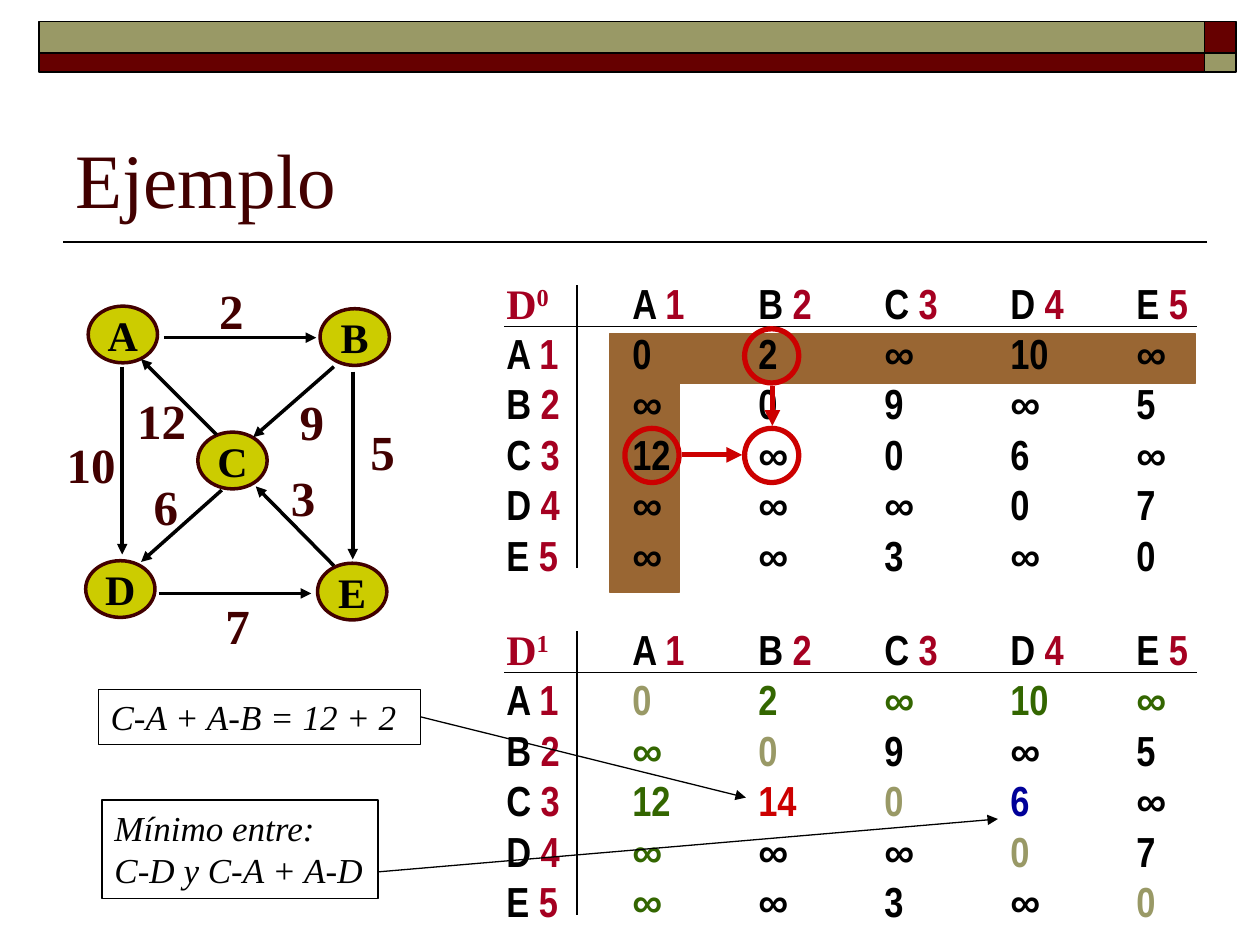
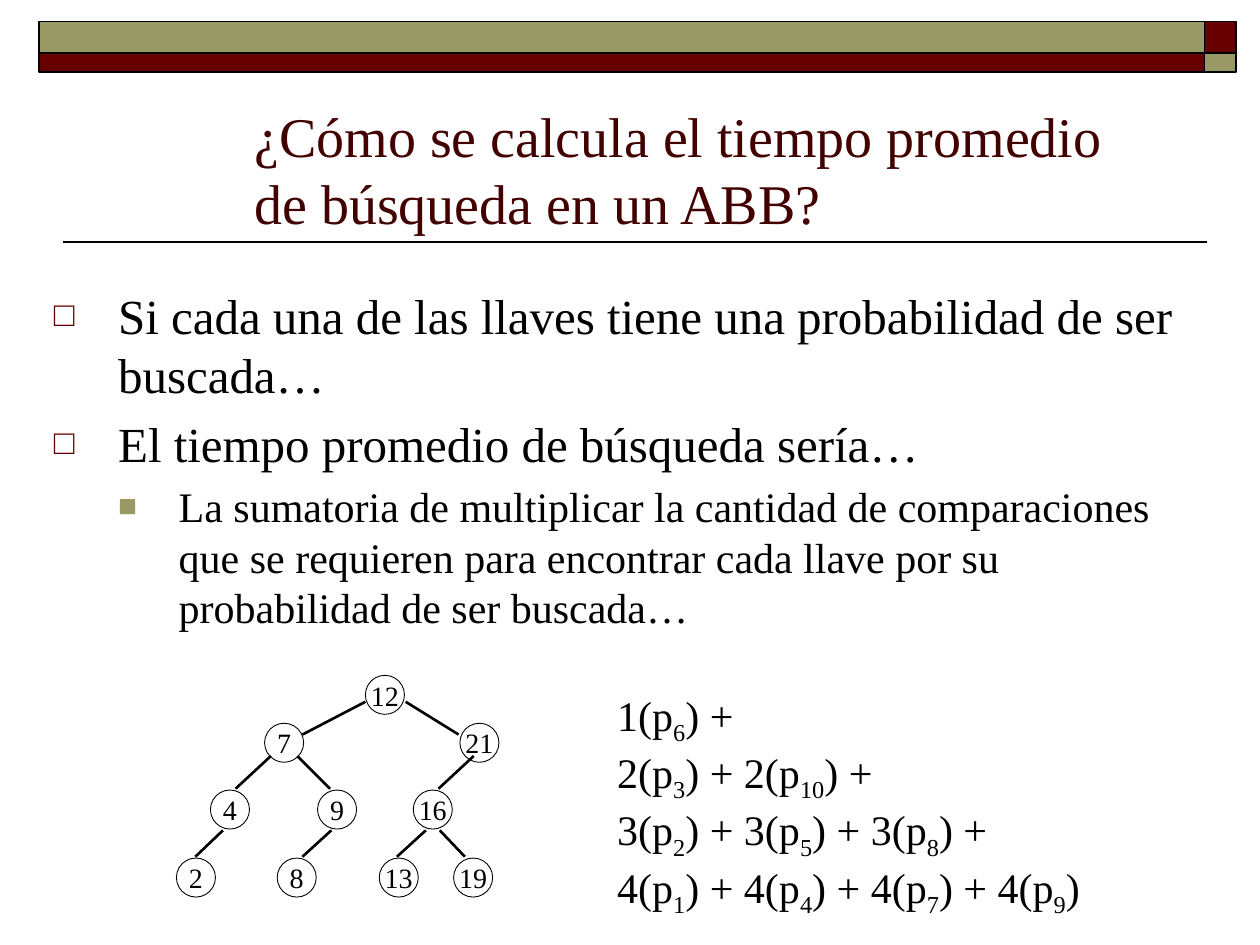
"""Two slides on shortest paths and on search trees."""
from lxml import etree
from pptx import Presentation, util as u
from pptx.dml import color
from pptx.enum import shapes, text
from pptx.oxml import ns

RECT = shapes.MSO_SHAPE.RECTANGLE
OVAL = shapes.MSO_SHAPE.OVAL
TOP, MID, LOW = (text.MSO_ANCHOR.TOP, text.MSO_ANCHOR.MIDDLE,
                 text.MSO_ANCHOR.BOTTOM)
BLACK, WINE, DARK, OLIVE = "000000", "660000", "420000", "999966"
ROSE, BROWN, LIME = "A50021", "996633", "CCCC00"
GREEN, RED, BLUE = "336600", "CC0000", "000099"
SERIF = {"name": "Times New Roman"}
BOLD = {**SERIF, "size": 24, "bold": True}
CELL = {**BOLD, "name": "Arial Narrow"}
KEYS = "ABCDE"


def cm(*vals):
    """Turn inches on the slide grid into Cm lengths."""
    return [u.Cm(2.54 * val) for val in vals]


def hue(code):
    """Turn a hex string into a colour."""
    return color.RGBColor.from_string(code)


def add_sub(node, tag, **vals):
    """Append a drawing element with attributes."""
    item = etree.SubElement(node, ns.qn("a:" + tag))
    for key, val in vals.items():
        item.set(key, val)
    return item


def add_run(para, words, form, tint=BLACK, base=0):
    """Append one formatted run, raised or lowered by base percent."""
    run = para.add_run()
    run.text = words
    for key, val in form.items():
        setattr(run.font, key, u.Pt(val) if key == "size" else val)
    run.font.color.rgb = hue(tint)
    if base:
        run._r.get_or_add_rPr().set("baseline", str(base * 1000))


def get_paras(frame, count):
    """Return the first paragraph and as many new ones as needed."""
    return [frame.paragraphs[0]] + [frame.add_paragraph()
                                    for _ in range(count - 1)]


def add_box(slide, box, wrap=True, anchor=TOP):
    """Add a text box and return its frame."""
    frame = slide.shapes.add_textbox(*cm(*box)).text_frame
    frame.word_wrap = wrap
    frame.vertical_anchor = anchor
    return frame


def add_form(slide, kind, box, fill=None, line=BLACK, width=0.75):
    """Add a flat preset shape."""
    form = slide.shapes.add_shape(kind, *cm(*box))
    form.shadow.inherit = False
    if fill:
        form.fill.solid()
        form.fill.fore_color.rgb = hue(fill)
    else:
        form.fill.background()
    form.line.color.rgb = hue(line)
    form.line.width = u.Pt(width)
    return form


def add_line(slide, ends, width=0.75, tint=BLACK, arrow=False):
    """Add a straight line, with an arrowhead at its end if asked."""
    line = slide.shapes.add_connector(shapes.MSO_CONNECTOR.STRAIGHT, *cm(*ends))
    line.line.width = u.Pt(width)
    line.line.color.rgb = hue(tint)
    if arrow:
        add_sub(line.line._get_or_add_ln(), "tailEnd", type="triangle")
    add_sub(line._element.spPr, "effectLst")
    return line


def add_node(slide, box, words, form, **look):
    """Add an oval with a centred label."""
    frame = add_form(slide, OVAL, box, **look).text_frame
    frame.word_wrap = False
    frame.vertical_anchor = MID
    frame.margin_left = frame.margin_right = 0
    frame.margin_top = frame.margin_bottom = 0
    para = frame.paragraphs[0]
    para.alignment = text.PP_ALIGN.CENTER
    add_run(para, words, form)


def add_base(deck, title, box, size):
    """Add a slide with the shared bands, rule and title."""
    slide = deck.slides.add_slide(deck.slide_layouts[6])
    add_line(slide, (9.58, 1.92, 0.5, 1.92), 1)
    for top, high, left, right in ((0.17, 0.25, OLIVE, WINE),
                                   (0.42, 0.15, WINE, OLIVE)):
        add_form(slide, RECT, (0.31, top, 9.25, high), left, width=1)
        add_form(slide, RECT, (9.56, top, 0.25, high), right, width=1)
    frame = add_box(slide, box, anchor=LOW)
    add_run(frame.paragraphs[0], title, {**SERIF, "size": size}, DARK)
    return slide


def add_grid(slide, top, step, rows, tint):
    """Add a distance matrix on tab stops, with its two rules."""
    frame = add_box(slide, (3.92, top, 5.8, 2.5))
    paras = get_paras(frame, len(rows) + 1)
    for para in paras:
        tabs = add_sub(para._p.get_or_add_pPr(), "tabLst")
        for col in range(1, 6):
            add_sub(tabs, "tab", pos=str(cm(col)[0]), algn="l")
    add_run(paras[0], "D", BOLD, ROSE)
    add_run(paras[0], step, BOLD, ROSE, 30)
    for num, key in enumerate(KEYS):
        add_run(paras[0], f"\t{key} ", CELL)
        add_run(paras[0], str(num + 1), CELL, ROSE)
        add_run(paras[num + 1], f"{key} ", CELL)
        add_run(paras[num + 1], str(num + 1), CELL, ROSE)
        for col, val in enumerate(rows[num].split()):
            add_run(paras[num + 1], f"\t{val}", CELL, tint(num, col))
    add_line(slide, (4, top + 0.44, 9.5, top + 0.44))
    add_line(slide, (4.58, top + 2.36, 4.58, top + 0.11))


def pick_tint(row, col):
    """Give the colour of a cell after the first step."""
    marks = {(2, 1): RED, (2, 3): BLUE}
    if row == col:
        return OLIVE
    return marks.get((row, col), BLACK if row and col else GREEN)


def add_note(slide, box, lines):
    """Add a framed note in italics."""
    note = add_form(slide, RECT, box)
    frame = note.text_frame
    frame.word_wrap = False
    frame.vertical_anchor = TOP
    for para, words in zip(get_paras(frame, len(lines)), lines):
        para.alignment = text.PP_ALIGN.LEFT
        add_run(para, words, {**SERIF, "size": 20, "italic": True})
    return note


def add_graph(slide):
    """Add the weighted graph."""
    spots = ((0.7, 2.43), (2.54, 2.45), (1.57, 3.43), (0.68, 4.45), (2.52, 4.47))
    for key, spot in zip(KEYS, spots):
        add_node(slide, (*spot, 0.55, 0.45), key, BOLD,
                 fill=LIME, line=DARK, width=2)
    edges = (
        ("2", (1.64, 2.18), (1.3, 2.68, 2.51, 2.68)),
        ("7", (1.69, 4.68), (1.26, 4.71, 2.47, 4.71)),
        ("5", (2.84, 3.3), (2.8, 2.95, 2.8, 4.44)),
        ("10", (0.43, 3.4), (0.97, 2.91, 0.97, 4.4)),
        ("6", (1.12, 3.73), (1.76, 3.89, 1.12, 4.46)),
        ("9", (2.28, 3.06), (2.65, 2.91, 2.01, 3.47)),
        ("12", (0.99, 3.05), (1.72, 3.45, 1.12, 2.85)),
        ("3", (2.21, 3.66), (2.65, 4.49, 2.03, 3.86)),
    )
    for cost, spot, ends in edges:
        add_line(slide, ends, 2, arrow=True)
        frame = add_box(slide, (*spot, 0.19 + 0.2 * len(cost), 0.56), False)
        add_run(frame.paragraphs[0], cost, {**BOLD, "size": 28}, DARK)


def add_rings(slide):
    """Ring the cells compared in the first step."""
    for spot in ((5.91, 3.4), (4.96, 3.4), (5.91, 2.61)):
        add_form(slide, OVAL, (*spot, 0.43, 0.43), line=RED, width=3)
    for ends in ((5.41, 3.61, 5.89, 3.61), (6.13, 3.06, 6.13, 3.38)):
        add_line(slide, ends, 3, RED, True)


def add_points(slide, items):
    """Add the bulleted text."""
    levels = (("□", WINE, "70000", 0.51, 0.51, 28),
              ("■", OLIVE, "75000", 0.99, 0.48, 24))
    paras = get_paras(add_box(slide, (0.33, 2.22, 9.33, 3)), len(items))
    for num, (para, (level, words)) in enumerate(zip(paras, items)):
        mark, tint, scale, left, hang, size = levels[level]
        props = para._p.get_or_add_pPr()
        props.set("marL", str(cm(left)[0]))
        props.set("indent", str(-cm(hang)[0]))
        add_sub(add_sub(props, "buClr"), "srgbClr", val=tint)
        add_sub(props, "buSzPct", val=scale)
        add_sub(props, "buFont", typeface=SERIF["name"])
        add_sub(props, "buChar", char=mark)
        if num:
            para.space_before = u.Pt(size / 5)
        add_run(para, words, {**SERIF, "size": size})


def add_sum(slide, levels):
    """Add the weighted sum, one tree level a line."""
    form = {**SERIF, "size": 24}
    paras = get_paras(add_box(slide, (4.8, 5.42, 4.2, 1.7)), len(levels))
    for rank, (para, keys) in enumerate(zip(paras, levels), 1):
        lead = ""
        for key in keys:
            add_run(para, f"{lead}{rank}(p", form)
            add_run(para, str(key), form, base=-25)
            lead = ") + "
        add_run(para, ")" if rank == len(levels) else ") +", form)


def add_tree(slide):
    """Add the binary search tree."""
    levels = (
        (5.36, {12: 2.9}),
        (5.74, {7: 2.1, 21: 3.65}),
        (6.27, {4: 1.67, 9: 2.52, 16: 3.28}),
        (6.81, {2: 1.4, 8: 2.2, 13: 3.01, 19: 3.6}),
    )
    for top, keys in levels:
        for key, left in keys.items():
            add_node(slide, (left, top, 0.31, 0.31), str(key),
                     {**SERIF, "size": 16}, width=0.5)
    ranks = (
        (5.57, 5.83, ((2.9, 2.4), (3.22, 3.64))),
        (6, 6.26, ((2.15, 1.87), (2.36, 2.62), (3.76, 3.48))),
        (6.59, 6.8, ((1.77, 1.55), (2.63, 2.4), (3.38, 3.15), (3.49, 3.69))),
    )
    for top, low, spans in ranks:
        for start, end in spans:
            add_line(slide, (start, top, end, low), 1.5)


def make_paths(deck):
    """Build the shortest path slide."""
    slide = add_base(deck, "Ejemplo", (0.5, 0.58, 9, 1.25), 44)
    for size in ((4.65, 0.39), (0.55, 2.05)):
        add_form(slide, RECT, (4.84, 2.65, *size), BROWN, BROWN)
    rows = ["0 2 ∞ 10 ∞", "∞ 0 9 ∞ 5", "12 ∞ 0 6 ∞", "∞ ∞ ∞ 0 7", "∞ ∞ 3 ∞ 0"]
    add_grid(slide, 2.15, "0", rows, lambda row, col: BLACK)
    rows[2] = "12 14 0 6 ∞"
    add_grid(slide, 4.9, "1", rows, pick_tint)
    note = add_note(slide, (0.78, 5.47, 2.56, 0.44), ["C-A + A-B = 12 + 2"])
    line = add_line(slide, (3.34, 5.69, 5.92, 6.33), arrow=True)
    line.begin_connect(note, 3)
    add_note(slide, (0.81, 6.35, 2.19, 0.78),
             ["Mínimo entre:", "C-D y C-A + A-D"])
    add_line(slide, (3, 6.92, 7.92, 6.5), arrow=True)
    add_graph(slide)
    add_rings(slide)


def make_search(deck):
    """Build the search tree slide."""
    slide = add_base(
        deck, "¿Cómo se calcula el tiempo promedio de búsqueda en un ABB?",
        (1.92, 0.67, 7.33, 1.25), 32)
    add_points(slide, (
        (0, "Si cada una de las llaves tiene una probabilidad de ser buscada…"),
        (0, "El tiempo promedio de búsqueda sería…"),
        (1, "La sumatoria de multiplicar la cantidad de comparaciones que se "
            "requieren para encontrar cada llave por su probabilidad de ser "
            "buscada…"),
    ))
    add_sum(slide, ((6,), (3, 10), (2, 5, 8), (1, 4, 7, 9)))
    add_tree(slide)


def main():
    """Build and save the deck."""
    deck = Presentation()
    deck.slide_width, deck.slide_height = cm(10, 7.5)
    make_paths(deck)
    make_search(deck)
    deck.save("out.pptx")


if __name__ == "__main__":
    main()
